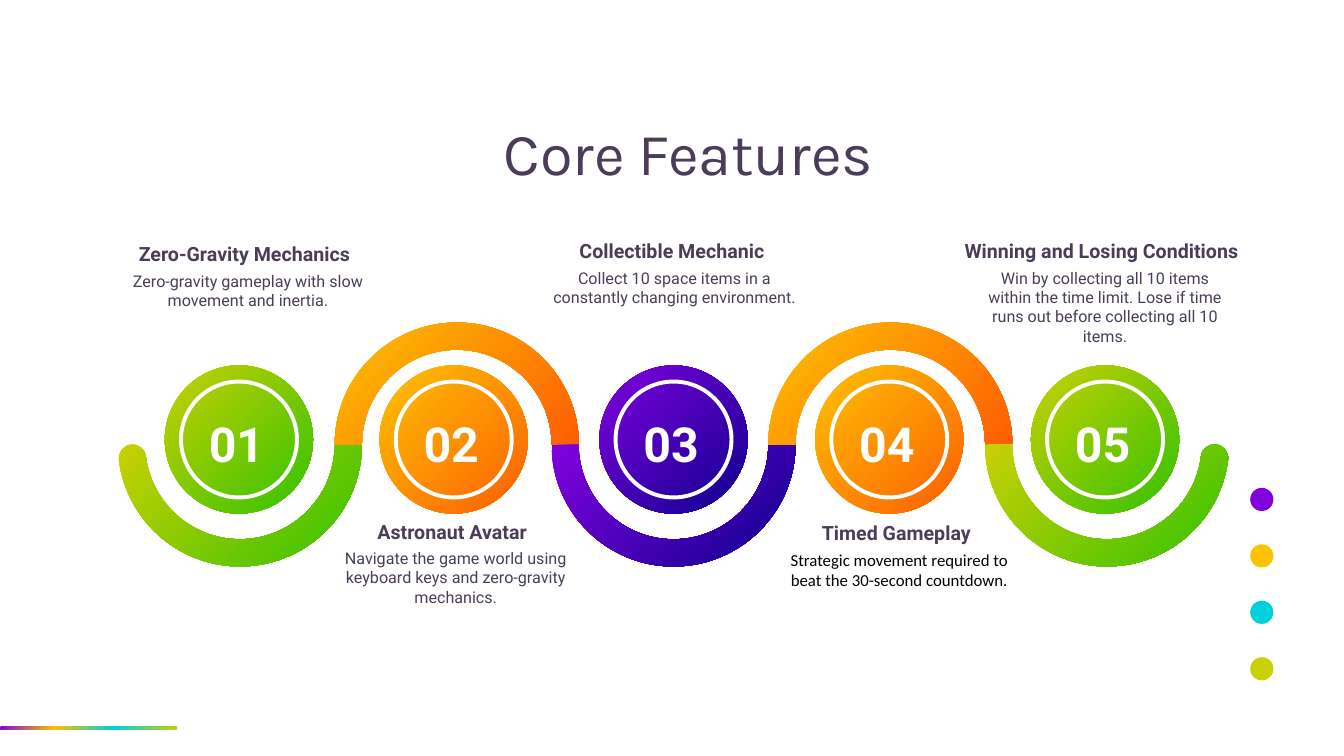
"""Build the Core Features slide: a wave of five numbered discs with captions."""
from dataclasses import dataclass
from math import asin, cos, degrees, radians, sin, tan

from lxml.etree import SubElement
from pptx import Presentation
from pptx.dml.color import RGBColor
from pptx.enum.shapes import MSO_SHAPE
from pptx.enum.text import MSO_AUTO_SIZE, PP_ALIGN
from pptx.oxml.ns import qn
from pptx.shapes.autoshape import Shape
from pptx.slide import Slide
from pptx.util import Inches, Pt

VIOLET = RGBColor(0x81, 0x01, 0xDD)
NAVY = RGBColor(0x0D, 0x00, 0x8E)
AMBER = RGBColor(0xFD, 0xC2, 0x04)
ORANGE = RGBColor(0xFD, 0x5E, 0x02)
CYAN = RGBColor(0x01, 0xCF, 0xDB)
LIME = RGBColor(0xC9, 0xD0, 0x04)
GREEN = RGBColor(0x32, 0xC2, 0x02)
PLUM = RGBColor(0x4B, 0x3D, 0x57)
BLACK = RGBColor(0x00, 0x00, 0x00)
WHITE = RGBColor(0xFF, 0xFF, 0xFF)

Box = tuple[float, float, float, float]
Stops = dict[int, RGBColor]
Points = list[tuple[float, float]]

LEAF: Stops = {0: LIME, 100: GREEN}
FLAME: Stops = {0: AMBER, 100: ORANGE}
NIGHT: Stops = {0: VIOLET, 100: NAVY}
BAND: Stops = {0: VIOLET, 31: AMBER, 64: CYAN, 100: LIME}

LEVEL, OUTER, INNER = 4.41, 1.21, 0.94
MIDDLE, TIP = (OUTER + INNER) / 2, (OUTER - INNER) / 2
LEAN = degrees(asin(TIP / MIDDLE))
FIRST, PITCH = 2.38, 2.15
HEART, DISC, RING = 4.36, 1.47, 1.15
KNOTS = 7

TITLE = {"name": "Karla", "size": Pt(42.5)}
NUMBER = {"name": "Roboto", "size": Pt(34.5), "bold": True}
HEAD = {"name": "Roboto", "size": Pt(14), "bold": True}
BODY = {"name": "Roboto", "size": Pt(11.5)}
PLAIN = {"name": "Calibri", "size": Pt(12)}


@dataclass
class Step:
    """One feature: its disc, its piece of the wave and its caption."""
    centre: float
    start: float
    stop: float
    stops: Stops
    head: str
    spot: Box
    body: str
    place: Box
    style: dict
    ink: RGBColor = PLUM


STEPS = [
    Step(2.37, 0, 180 - LEAN, LEAF, "Zero-Gravity Mechanics", (1.15, 2.35, 2.55, 0.34),
         "Zero-gravity gameplay with slow movement and inertia.",
         (1.13, 2.64, 2.66, 0.49), BODY),
    Step(4.5, 180, 360, FLAME, "Astronaut Avatar", (3.6, 5.11, 1.77, 0.34),
         "Navigate the game world using keyboard keys and zero-gravity mechanics.",
         (3.19, 5.39, 2.66, 0.68), BODY),
    Step(6.68, 0, 180, NIGHT, "Collectible Mechanic", (5.57, 2.32, 2.19, 0.34),
         "Collect 10 space items in a constantly changing environment.",
         (5.36, 2.61, 2.66, 0.49), BODY),
    Step(8.82, 180, 360, FLAME, "Timed Gameplay", (7.74, 5.12, 2.3, 0.34),
         "Strategic movement required to beat the 30-second countdown.",
         (7.59, 5.4, 2.66, 0.5), PLAIN, BLACK),
    Step(10.96, LEAN, 180, LEAF, "Winning and Losing Conditions", (9.33, 2.32, 3.19, 0.34),
         "Win by collecting all 10 items within the time limit. "
         "Lose if time runs out before collecting all 10 items.",
         (9.63, 2.61, 2.66, 0.88), BODY),
]


def blend(shape: Shape, stops: Stops) -> None:
    """Fill a shape with a slanted gradient and drop its line and shadow."""
    shape.shadow.inherit = False
    shape.line.fill.background()
    shape.fill.gradient()
    shape.fill.gradient_angle = 315
    chain = shape.element.spPr.find(qn("a:gradFill")).find(qn("a:gsLst"))
    for child in list(chain):
        chain.remove(child)
    for share, tint in stops.items():
        stop = SubElement(chain, qn("a:gs"), pos=str(share * 1000))
        SubElement(stop, qn("a:srgbClr"), val=str(tint))


def add_form(slide: Slide, kind: MSO_SHAPE, box: Box) -> Shape:
    """Add a preset shape without shadow or line."""
    shape = slide.shapes.add_shape(kind, *map(Inches, box))
    shape.shadow.inherit = False
    shape.line.fill.background()
    return shape


def add_round(slide: Slide, x: float, y: float, size: float) -> Shape:
    """Add a circle around a centre."""
    return add_form(slide, MSO_SHAPE.OVAL, (x - size / 2, y - size / 2, size, size))


def add_text(slide: Slide, text: str, box: Box, style: dict, ink: RGBColor,
             align: PP_ALIGN = PP_ALIGN.CENTER, wrap: bool = True) -> None:
    """Add a text box holding one styled run."""
    frame = slide.shapes.add_textbox(*map(Inches, box)).text_frame
    frame.word_wrap = wrap
    frame.auto_size = MSO_AUTO_SIZE.SHAPE_TO_FIT_TEXT if wrap else MSO_AUTO_SIZE.NONE
    line = frame.paragraphs[0]
    line.alignment = align
    run = line.add_run()
    run.text = text
    for key, value in style.items():
        setattr(run.font, key, value)
    run.font.color.rgb = ink


def sweep(x: float, y: float, reach: float, *turns: float) -> Points:
    """Give the knots and handles of an arc through three angles."""
    angles = [radians(turn) for turn in turns]
    points = [(x + reach * cos(angles[0]), y + reach * sin(angles[0]))]
    for a, b in zip(angles, angles[1:]):
        pull = 4 / 3 * tan((b - a) / 4)
        points += [(x + reach * (cos(a) - pull * sin(a)), y + reach * (sin(a) + pull * cos(a))),
                   (x + reach * (cos(b) + pull * sin(b)), y + reach * (sin(b) - pull * cos(b))),
                   (x + reach * cos(b), y + reach * sin(b))]
    return points


def round_tip(x: float, turn: float, start: float) -> Points:
    """Give the rounded tip of a bend, or nothing where it meets its neighbour."""
    if turn % 180 == 0:
        return []
    angle = radians(turn)
    return sweep(x + MIDDLE * cos(angle), LEVEL + MIDDLE * sin(angle), TIP,
                 start, start + 90, start + 180)


def soften(shape: Shape) -> None:
    """Turn each arc's handles, drawn as straight segments, into curves."""
    trace = next(shape.element.iter(qn("a:path")))
    for i, node in enumerate(trace.findall(qn("a:lnTo")), 1):
        place = i % KNOTS
        if place == 0:
            continue
        if place % 3 == 1:
            curve = SubElement(trace, qn("a:cubicBezTo"))
            node.addprevious(curve)
        curve.append(node[0])
        trace.remove(node)


def add_bend(slide: Slide, x: float, step: Step) -> None:
    """Draw one half ring of the wave."""
    start, stop = step.start, step.stop
    mid = 90 * round((start + stop) / 180)
    points = (sweep(x, LEVEL, OUTER, start, mid, stop) + round_tip(x, stop, stop)
              + sweep(x, LEVEL, INNER, stop, mid, start) + round_tip(x, start, start + 180))
    first, *rest = [(Inches(a), Inches(b)) for a, b in points]
    form = slide.shapes.build_freeform(*first)
    form.add_line_segments(rest, close=True)
    shape = form.convert_to_shape()
    soften(shape)
    blend(shape, step.stops)


def add_disc(slide: Slide, label: str, step: Step) -> None:
    """Draw a numbered disc with its white ring."""
    blend(add_round(slide, step.centre, HEART, DISC), step.stops)
    ring = add_round(slide, step.centre, HEART, RING)
    ring.fill.background()
    ring.line.color.rgb = WHITE
    ring.line.width = Pt(2.8)
    add_text(slide, label, (step.centre - 0.45, 4.06, 0.85, 0.79), NUMBER, WHITE, wrap=False)


def main() -> None:
    """Build and save the deck."""
    deck = Presentation()
    deck.slide_width, deck.slide_height = Inches(13.33), Inches(7.5)
    slide = deck.slides.add_slide(deck.slide_layouts[6])
    blend(add_form(slide, MSO_SHAPE.RECTANGLE, (0, 7.21, 1.75, 0.03)), BAND)
    for i, tint in enumerate(BAND.values()):
        dot = add_form(slide, MSO_SHAPE.OVAL, (12.4, 4.84 + 0.56 * i, 0.23, 0.23))
        dot.fill.solid()
        dot.fill.fore_color.rgb = tint
    add_text(slide, "Core Features", (4.52, 1.1, 4.24, 0.82), TITLE, PLUM, PP_ALIGN.RIGHT)
    for i, step in enumerate(STEPS):
        add_bend(slide, FIRST + PITCH * i, step)
    for i, step in enumerate(STEPS, 1):
        add_disc(slide, f"{i:02}", step)
    for step in STEPS:
        add_text(slide, step.head, step.spot, HEAD, PLUM)
        add_text(slide, step.body, step.place, step.style, step.ink)
    deck.save("out.pptx")


if __name__ == "__main__":
    main()
